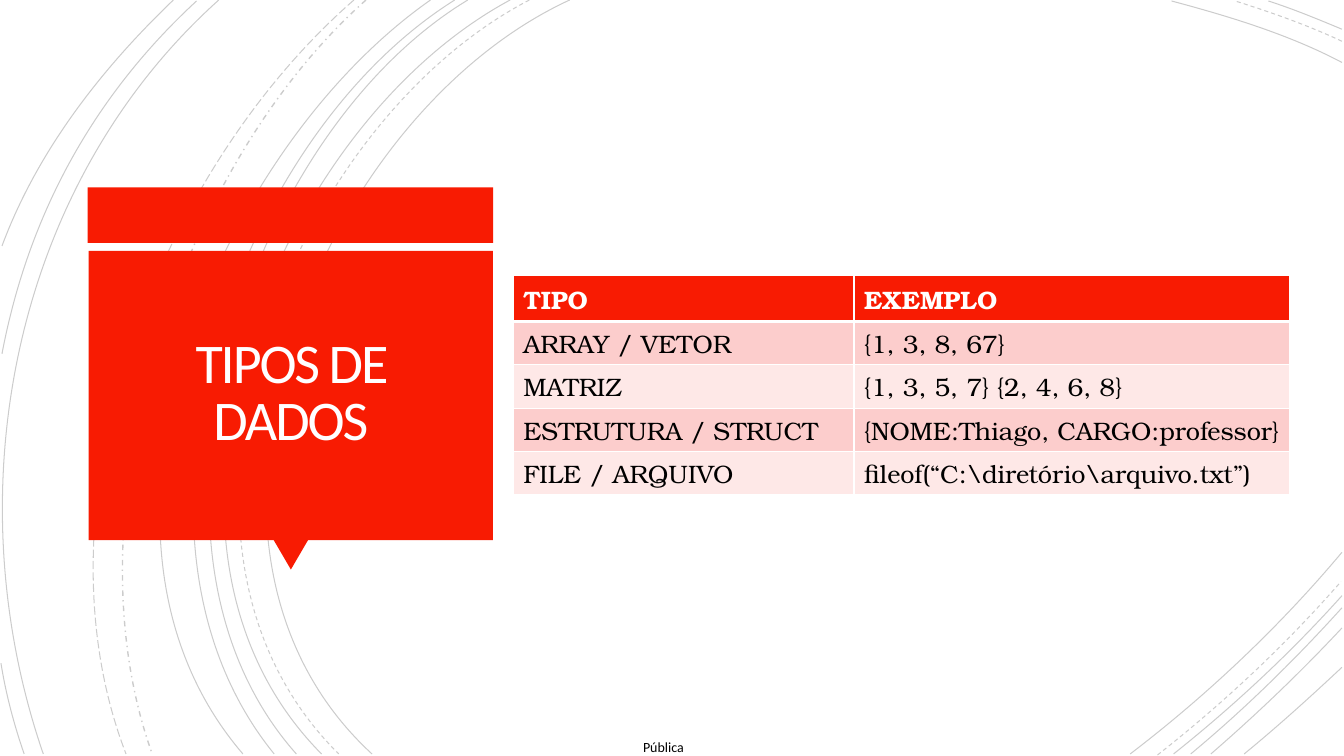
import pptx
import pptx.dml.color
import pptx.enum.dml
import pptx.enum.shapes
import pptx.enum.text
import pptx.oxml.ns
import pptx.util
from lxml import etree

Inches = pptx.util.Inches
Pt = pptx.util.Pt
RGBColor = pptx.dml.color.RGBColor
Dash = pptx.enum.dml.MSO_LINE
Shape = pptx.enum.shapes.MSO_SHAPE
Align = pptx.enum.text.PP_ALIGN
Anchor = pptx.enum.text.MSO_ANCHOR
qn = pptx.oxml.ns.qn

RED = RGBColor(0xF8, 0x1B, 0x02)
DARK_BAND = RGBColor(0xFC, 0xCD, 0xCC)
LIGHT_BAND = RGBColor(0xFE, 0xE8, 0xE7)
WHITE = RGBColor(0xFF, 0xFF, 0xFF)
TITLE_WHITE = RGBColor(0xFF, 0xFE, 0xFF)
BLACK = RGBColor(0, 0, 0)

SANS = "Calibri"
SERIF = "TeX Gyre Bonum"
HEADER_HEIGHT = 0.46
ROW_HEIGHT = 0.43

# Start, two control points and end of each background arc, in inches
SOLID_ARCS = [
    ((5.65, 0), (3.15, 1.15), (1.43, 5.4), (3.69, 7.48)),
    ((13.31, 0.62), (12.78, 0.34), (12.18, 0.16), (11.62, 0.01)),
    ((11.21, 7.48), (11.97, 6.9), (12.69, 6.22), (13.31, 5.48)),
    ((5.06, 0), (2.7, 1.27), (1.1, 5.37), (3.19, 7.48)),
    ((13.31, 0.29), (13.07, 0.19), (12.83, 0.09), (12.58, 0.01)),
    ((11.64, 7.48), (12.23, 7.01), (12.8, 6.48), (13.31, 5.91)),
    ((4.64, 0), (2.44, 1.33), (1.1, 5.41), (2.94, 7.48)),
    ((11.81, 7.48), (12.34, 7.04), (12.84, 6.55), (13.31, 6.03)),
    ((4.51, 0), (2.31, 1.38), (0.97, 5.33), (2.72, 7.48)),
    ((12.01, 7.48), (12.46, 7.09), (12.9, 6.67), (13.31, 6.23)),
    ((4.27, 0), (2.17, 1.47), (0.53, 5.29), (2.41, 7.48)),
    ((12.34, 7.48), (12.67, 7.21), (12.99, 6.92), (13.31, 6.62)),
    ((2.17, 0), (0.11, 1.85), (-0.46, 4.9), (0.43, 7.48)),
    ((1.95, 0.01), (0.92, 0.96), (0.28, 2.14), (0.02, 3.51)),
    ((0.01, 6.58), (0.06, 6.89), (0.14, 7.19), (0.24, 7.48)),
    ((1.72, 0), (1, 0.69), (0.37, 1.5), (0.02, 2.44)),
]
DASHED_ARCS = [
    ((5.25, 0), (2.85, 1.25), (1.23, 5.37), (3.36, 7.48)),
    ((13.31, 0.41), (12.97, 0.25), (12.6, 0.12), (12.25, 0.01)),
    ((11.48, 7.49), (12.13, 6.98), (12.75, 6.4), (13.3, 5.77)),
]
DASH_DOT_ARC = ((3.63, 0), (1.76, 1.66), (0.65, 5.09), (1.51, 7.48))
LONG_DASH_ARC = ((3.51, 0), (1.57, 1.69), (0.29, 4.99), (1.25, 7.48))

TYPE_ROWS = [
    ("TIPO", "EXEMPLO"),
    ("ARRAY / VETOR", "{1, 3, 8, 67}"),
    ("MATRIZ", "{1, 3, 5, 7} {2, 4, 6, 8}"),
    ("ESTRUTURA / STRUCT", "{NOME:Thiago, CARGO:professor}"),
    ("FILE / ARQUIVO", "fileof(“C:\\diretório\\arquivo.txt”)"),
]


def write_text(frame, text, *, size, font, color, bold=False, align=Align.LEFT,
               line_spacing=None, tracking=None):
    """Write one formatted paragraph; tracking is in points."""
    para = frame.paragraphs[0]
    para.alignment = align
    if line_spacing:
        para.line_spacing = line_spacing
    span = para.add_run()
    span.text = text
    span.font.size = Pt(size)
    span.font.name = font
    span.font.bold = bold
    span.font.color.rgb = color
    if tracking:
        span.font._element.set("spc", str(int(tracking * 100)))


def add_text_box(slide, left, top, width, height, text, *, inset=0, wrap=True, **text_format):
    box = slide.shapes.add_textbox(Inches(left), Inches(top), Inches(width), Inches(height))
    frame = box.text_frame
    frame.word_wrap = wrap
    frame.vertical_anchor = Anchor.MIDDLE
    frame.margin_left = frame.margin_right = Inches(inset)
    frame.margin_top = frame.margin_bottom = Inches(inset)
    write_text(frame, text, **text_format)


def add_red_shape(slide, kind, left, top, width, height, rotation=0):
    shape = slide.shapes.add_shape(kind, Inches(left), Inches(top), Inches(width), Inches(height))
    shape.rotation = rotation
    shape.shadow.inherit = False
    shape.fill.solid()
    shape.fill.fore_color.rgb = RED
    shape.line.fill.background()


def add_arc(slide, arc, dash=Dash.SOLID, width=0.75):
    """Draw one cubic curve by turning three line segments into its control points."""
    points = [(Inches(x), Inches(y)) for x, y in arc]
    builder = slide.shapes.build_freeform(*points[0])
    builder.add_line_segments(points[1:], close=False)
    curve = builder.convert_to_shape()
    outline = curve._element.find(".//" + qn("a:path"))
    segments = outline.findall(qn("a:lnTo"))
    bezier = etree.SubElement(outline, qn("a:cubicBezTo"))
    for segment in segments:
        bezier.append(segment[0])
        outline.remove(segment)

    curve.shadow.inherit = False
    curve.fill.background()
    curve.line.color.rgb = BLACK
    curve.line.width = Pt(width)
    curve.line.dash_style = dash
    color = curve.line._ln.find(".//" + qn("a:srgbClr"))
    etree.SubElement(color, qn("a:alpha"), val="20000")


def set_borders(cell, top, bottom):
    """Draw white borders, one point wide at the sides."""
    properties = cell._tc.get_or_add_tcPr()
    for side, width in (("L", 1), ("R", 1), ("T", top), ("B", bottom)):
        line = etree.SubElement(properties, qn("a:ln" + side), w=str(Pt(width)))
        fill = etree.SubElement(line, qn("a:solidFill"))
        etree.SubElement(fill, qn("a:srgbClr"), val=str(WHITE))


def add_type_table(slide):
    height = HEADER_HEIGHT + ROW_HEIGHT * (len(TYPE_ROWS) - 1)
    frame = slide.shapes.add_table(len(TYPE_ROWS), 2, Inches(5.09), Inches(2.73),
                                   Inches(7.7), Inches(height))
    table = frame.table
    table.columns[0].width = Inches(3.38)
    table.columns[1].width = Inches(4.32)
    for row, texts in enumerate(TYPE_ROWS):
        header = row == 0
        table.rows[row].height = Inches(HEADER_HEIGHT if header else ROW_HEIGHT)
        band = RED if header else (LIGHT_BAND, DARK_BAND)[row % 2]
        for column, text in enumerate(texts):
            cell = table.cell(row, column)
            set_borders(cell, top=3 if row == 1 else 1, bottom=3 if header else 1)
            cell.fill.solid()
            cell.fill.fore_color.rgb = band
            write_text(cell.text_frame, text, size=18, font=SERIF, bold=header,
                       color=WHITE if header else BLACK)


def main():
    deck = pptx.Presentation()
    deck.slide_width = Inches(13.33)
    deck.slide_height = Inches(7.5)
    slide = deck.slides.add_slide(deck.slide_layouts[6])

    add_text_box(slide, 6.36, 7.33, 0.44, 0.17, "Pública", wrap=False,
                 size=10, font=SANS, color=BLACK, align=Align.CENTER)
    for arc in SOLID_ARCS:
        add_arc(slide, arc)
    for arc in DASHED_ARCS:
        add_arc(slide, arc, Dash.DASH)
    add_arc(slide, DASH_DOT_ARC, Dash.DASH_DOT, width=1)
    add_arc(slide, LONG_DASH_ARC, Dash.LONG_DASH)

    add_red_shape(slide, Shape.RECTANGLE, 0.87, 1.86, 4.02, 0.55)
    add_red_shape(slide, Shape.ISOSCELES_TRIANGLE, 2.71, 5.35, 0.35, 0.3, rotation=180)
    add_red_shape(slide, Shape.RECTANGLE, 0.88, 2.49, 4.01, 2.87)
    add_text_box(slide, 0.97, 2.57, 3.83, 2.69, "TIPOS DE DADOS", inset=0.25,
                 size=40, font=SANS, color=TITLE_WHITE, align=Align.CENTER,
                 line_spacing=0.85, tracking=-1.5)
    add_type_table(slide)
    deck.save("out.pptx")


if __name__ == "__main__":
    main()
